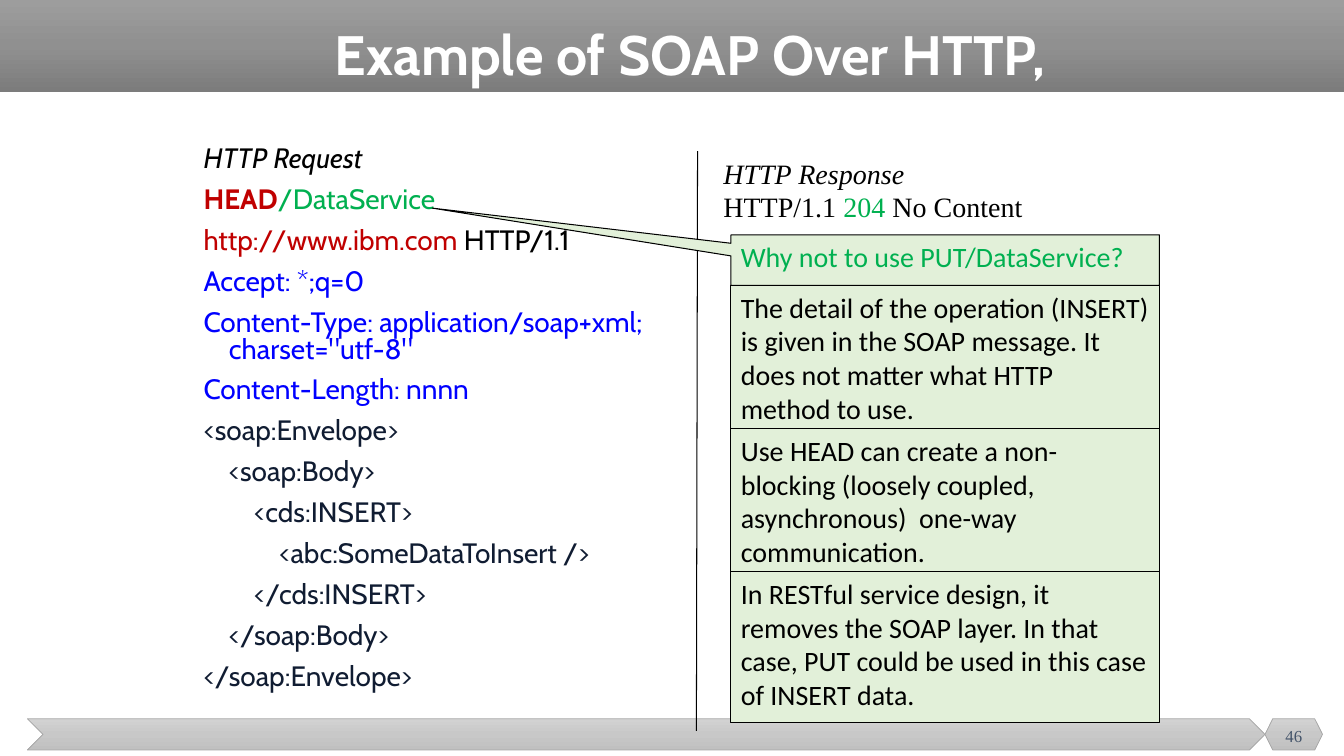
from copy import deepcopy
from dataclasses import dataclass

from pptx import Presentation
from pptx.dml.color import RGBColor
from pptx.enum.shapes import MSO_CONNECTOR as Connector, MSO_SHAPE as Preset
from pptx.enum.text import MSO_ANCHOR as Anchor, PP_ALIGN as Align
from pptx.oxml.ns import qn
from pptx.oxml.xmlchemy import OxmlElement
from pptx.shapes.autoshape import Shape
from pptx.slide import Slide
from pptx.text.text import TextFrame
from pptx.util import Cm, Pt

COLORS = {
    "white": "FFFFFF", "black": "000000", "red": "C00000", "green": "00B050",
    "blue": "0000FF", "navy": "101C32", "slate": "44546A",
    "note": "E2F0D9", "edge": "A5A5A5",
}
HEADER_GRADIENT = ("9D9D9D", "909090", "7C7C7C")
FOOTER_GRADIENT = ("D2D2D2", "C8C8C8", "C0C0C0")


@dataclass(frozen=True)
class Box:
    left: float
    top: float
    width: float
    height: float

    def lengths(self) -> tuple[Cm, Cm, Cm, Cm]:
        return Cm(self.left), Cm(self.top), Cm(self.width), Cm(self.height)


@dataclass(frozen=True)
class Piece:
    text: str
    color: str = "black"
    bold: bool = False
    italic: bool = False


@dataclass(frozen=True)
class Style:
    font: str
    size: float
    align: Align = Align.LEFT
    anchor: Anchor = Anchor.TOP
    line_spacing: float = 1.0
    space_before: float = 0
    hanging: float = 0


@dataclass(frozen=True)
class Note:
    text: str
    height: float
    color: str = "black"
    preset: Preset = Preset.RECTANGLE


Lines = list[list[Piece]]

TITLE = Style("Cabin", 39.6, Align.CENTER, Anchor.MIDDLE, 0.9)
REQUEST = Style("Cabin", 20, line_spacing=0.8, space_before=10, hanging=0.64)
RESPONSE = Style("Times New Roman", 20)
NOTE = Style("Calibri", 20)
PAGE_NUMBER = Style("Times New Roman", 12, Align.CENTER, Anchor.MIDDLE)

REQUEST_LINES: Lines = [
    [Piece("HTTP Request", italic=True)],
    [Piece("HEAD", "red", bold=True), Piece("/DataService", "green")],
    [Piece("http://www.ibm.com ", "red"), Piece("HTTP/1.1")],
    [Piece("Accept: *;q=0", "blue")],
    [Piece('Content-Type: application/soap+xml; charset="utf-8"', "blue")],
    [Piece("Content-Length: nnnn", "blue")],
    [Piece("<soap:Envelope>", "navy")],
    [Piece("    <soap:Body>", "navy")],
    [Piece("        <cds:INSERT>", "navy")],
    [Piece("            <abc:SomeDataToInsert />", "navy")],
    [Piece("        </cds:INSERT>", "navy")],
    [Piece("    </soap:Body>", "navy")],
    [Piece("</soap:Envelope>", "navy")],
]
RESPONSE_LINES: Lines = [
    [Piece("HTTP Response", italic=True)],
    [Piece("HTTP/1.1 "), Piece("204", "green"), Piece(" No Content")],
]
NOTES = [
    Note("Why not to use PUT/DataService?", 1.27, "green",
         Preset.RECTANGULAR_CALLOUT),
    Note("The detail of the operation (INSERT) is given in the SOAP message. "
         "It does not matter what HTTP method to use.", 3.61),
    Note("Use HEAD can create a non-blocking (loosely coupled, "
         "asynchronous)  one-way communication.", 3.6),
    Note("In RESTful service design, it removes the SOAP layer. In that case, "
         "PUT could be used in this case of INSERT data.", 3.81),
]
NOTES_LEFT, NOTES_TOP, NOTES_WIDTH = 18.42, 5.92, 10.8
CALLOUT_TIP = (-1.197, -1.032)


def rgb(name: str) -> RGBColor:
    return RGBColor.from_string(COLORS[name])


def write(frame: TextFrame, lines: Lines, style: Style) -> None:
    frame.word_wrap = True
    frame.vertical_anchor = style.anchor
    for index, pieces in enumerate(lines):
        paragraph = frame.add_paragraph() if index else frame.paragraphs[0]
        paragraph.alignment = style.align
        paragraph.line_spacing = style.line_spacing
        paragraph.space_before = Pt(style.space_before if index else 0)
        if style.hanging:
            properties = paragraph._p.get_or_add_pPr()
            properties.set("marL", str(Cm(style.hanging)))
            properties.set("indent", str(-Cm(style.hanging)))
        for piece in pieces:
            run = paragraph.add_run()
            run.text = piece.text
            run.font.name = style.font
            run.font.size = Pt(style.size)
            run.font.bold = piece.bold
            run.font.italic = piece.italic
            run.font.color.rgb = rgb(piece.color)


def add_text(slide: Slide, box: Box, lines: Lines, style: Style) -> None:
    write(slide.shapes.add_textbox(*box.lengths()).text_frame, lines, style)


def add_preset(slide: Slide, preset: Preset, box: Box) -> Shape:
    shape = slide.shapes.add_shape(preset, *box.lengths())
    shape.shadow.inherit = False
    return shape


def add_band(slide: Slide, preset: Preset, box: Box,
             gradient: tuple[str, str, str], outlined: bool = True) -> None:
    band = add_preset(slide, preset, box)
    band.fill.gradient()
    band.fill.gradient_angle = 270
    stop_list = band._element.spPr.find(qn("a:gradFill")).find(qn("a:gsLst"))
    stop_list.insert(1, deepcopy(stop_list[0]))
    for index, stop in enumerate(band.fill.gradient_stops):
        stop.position = index / 2
        stop.color.rgb = RGBColor.from_string(gradient[index])
    if outlined:
        band.line.color.rgb = rgb("edge")
        band.line.width = Pt(0.5)
    else:
        band.line.fill.background()


def add_divider(slide: Slide) -> None:
    divider = slide.shapes.add_connector(
        Connector.STRAIGHT, Cm(17.58), Cm(3.81), Cm(17.55), Cm(18.42))
    divider.line.color.rgb = rgb("black")
    divider.line.width = Pt(0.75)
    divider._element.spPr.append(OxmlElement("a:effectLst"))


def add_notes(slide: Slide) -> None:
    top = NOTES_TOP
    for note in NOTES:
        box = Box(NOTES_LEFT, top, NOTES_WIDTH, note.height)
        shape = add_preset(slide, note.preset, box)
        if note.preset == Preset.RECTANGULAR_CALLOUT:
            shape.adjustments[0], shape.adjustments[1] = CALLOUT_TIP
        shape.fill.solid()
        shape.fill.fore_color.rgb = rgb("note")
        shape.line.color.rgb = rgb("black")
        shape.line.width = Pt(0.75)
        write(shape.text_frame, [[Piece(note.text, note.color)]], NOTE)
        top += note.height


def main() -> None:
    deck = Presentation()
    deck.slide_width, deck.slide_height = Cm(33.87), Cm(19.05)
    slide = deck.slides.add_slide(deck.slide_layouts[6])

    # Header and footer bands
    add_band(slide, Preset.RECTANGLE, Box(0, 0, 33.87, 2.31),
             HEADER_GRADIENT, outlined=False)
    add_band(slide, Preset.CHEVRON, Box(0.69, 18.11, 31.19, 0.79),
             FOOTER_GRADIENT)
    add_band(slide, Preset.HEXAGON, Box(31.88, 18.11, 1.45, 0.79),
             FOOTER_GRADIENT)

    # Title and page number
    add_text(slide, Box(6.6, 0.08, 21.59, 2.74),
             [[Piece("Example of SOAP Over HTTP,", "white", bold=True)]], TITLE)
    add_text(slide, Box(31.88, 18.03, 1.45, 1.02),
             [[Piece("46", "slate")]], PAGE_NUMBER)

    # Request and response
    add_text(slide, Box(4.88, 3.58, 12.7, 15.04), REQUEST_LINES, REQUEST)
    add_text(slide, Box(17.98, 3.81, 11.23, 14.81), RESPONSE_LINES, RESPONSE)
    add_divider(slide)

    # Stacked explanations
    add_notes(slide)

    deck.save("out.pptx")


if __name__ == "__main__":
    main()
